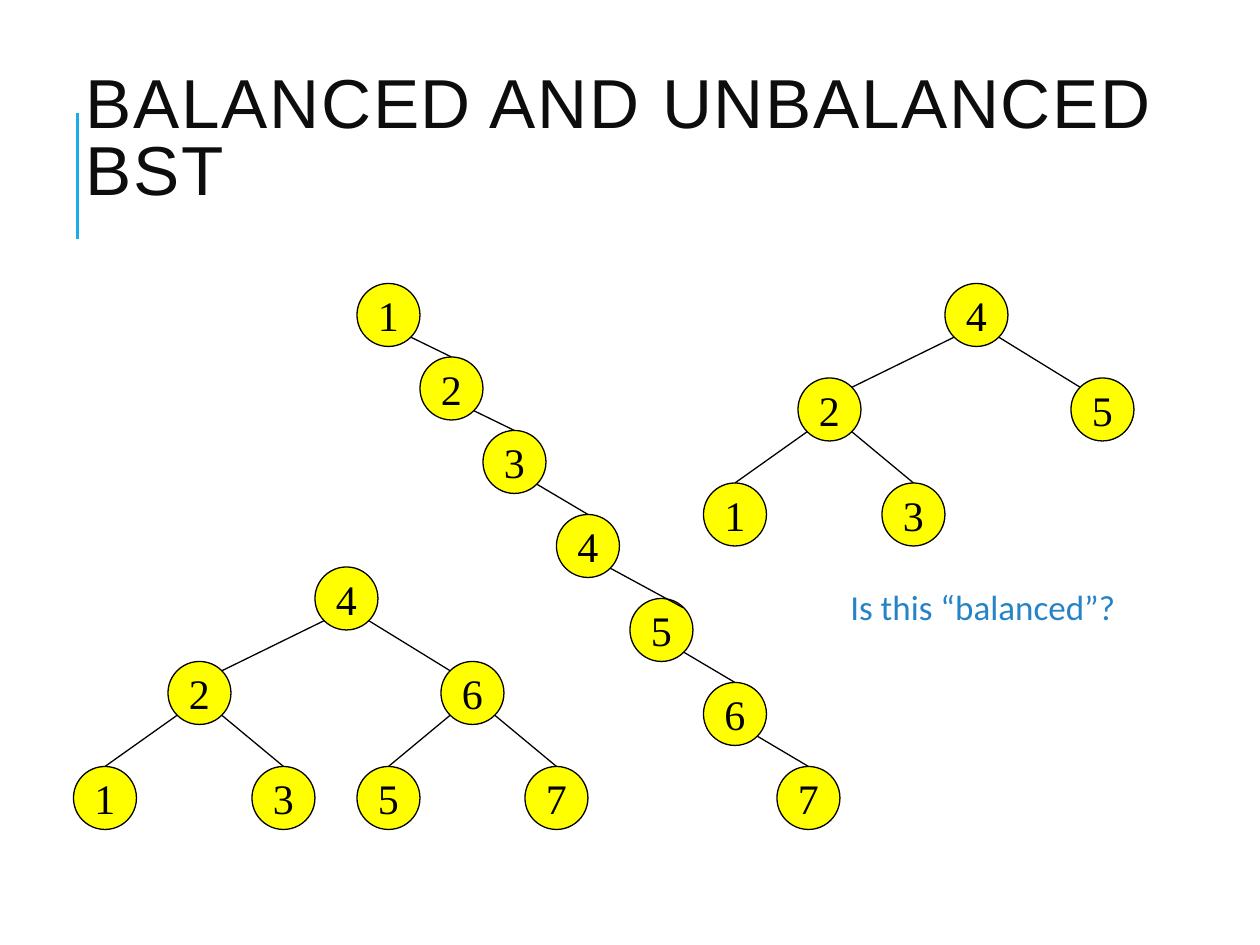
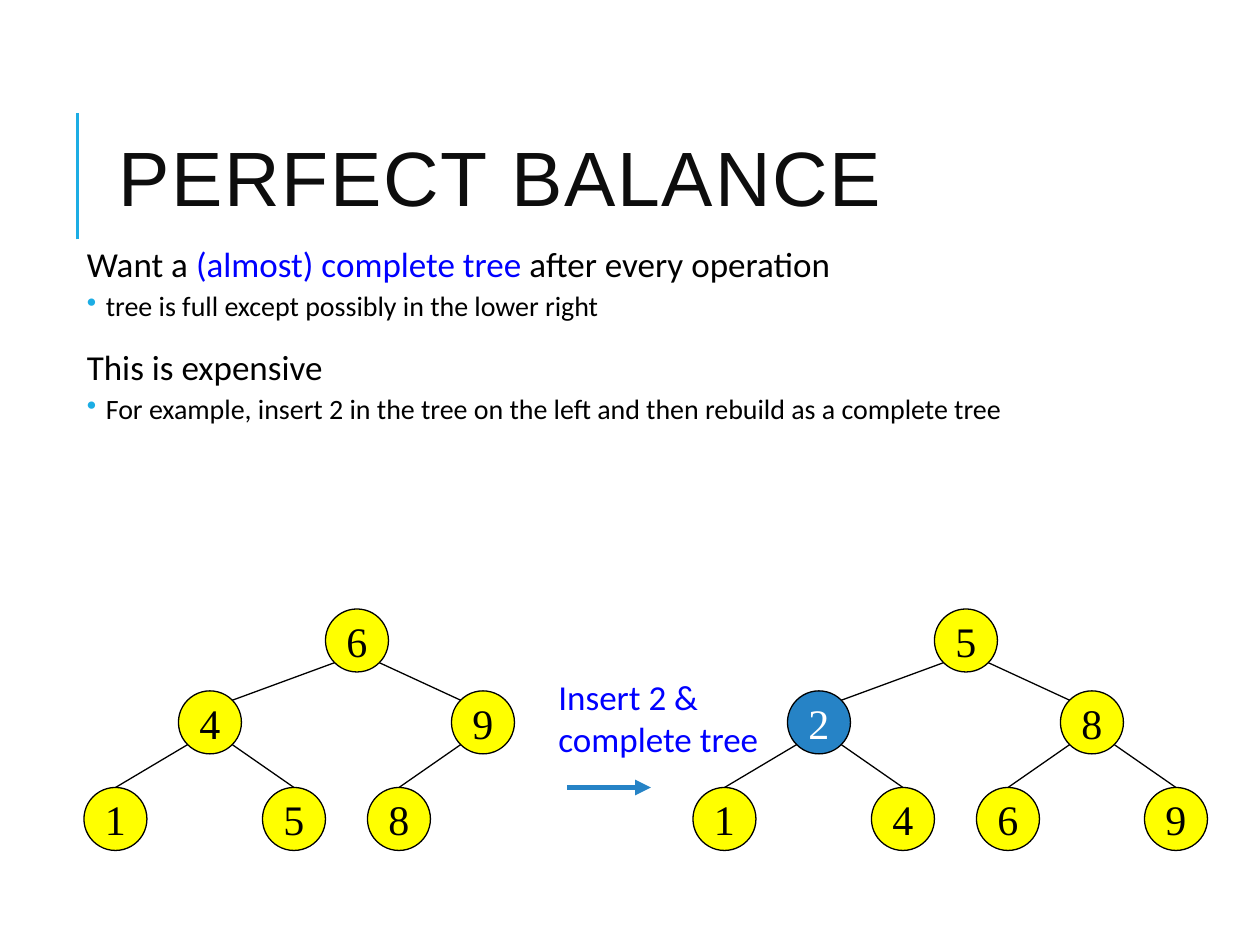
from dataclasses import dataclass
from itertools import accumulate, pairwise

from lxml.etree import SubElement
from pptx import Presentation
from pptx.dml.color import RGBColor
from pptx.enum.shapes import MSO_CONNECTOR, MSO_SHAPE
from pptx.enum.text import MSO_ANCHOR, PP_ALIGN
from pptx.oxml.ns import qn
from pptx.util import Inches, Pt


@dataclass(frozen=True)
class Theme:
    black: str = "000000"
    white: str = "FFFFFF"
    title_ink: str = "0D0D0D"
    accent: str = "1CADE4"
    blue: str = "2683C6"
    emphasis: str = "0000FF"
    node_fill: str = "FFFF00"
    title_font: str = "Arial"
    body_font: str = "Calibri"
    node_font: str = "Times New Roman"
    long_title_size: float = 39.6
    title_size: float = 44
    node_size: float = 24
    body_size: float = 20
    detail_size: float = 16
    thin: float = 0.75
    rule: float = 1.5
    thick: float = 3


@dataclass(frozen=True)
class Box:
    left: float
    top: float
    width: float
    height: float


THEME = Theme()
PAGE_WIDTH, PAGE_HEIGHT = Inches(10), Inches(7.5)
COLUMNS, ROWS = 120, 90
NODE = 6
CORNER = 0.15 * NODE
TOP = (NODE / 2, 0)
TOP_LEFT = (CORNER, CORNER)
TOP_RIGHT = (NODE - CORNER, CORNER)
BOTTOM_LEFT = (CORNER, NODE - CORNER)
BOTTOM_RIGHT = (NODE - CORNER, NODE - CORNER)
TREE_COLUMNS = (23, 9, 35, 0, 17, 27, 43)


def across(columns):
    return round(PAGE_WIDTH * columns / COLUMNS)


def down(rows):
    return round(PAGE_HEIGHT * rows / ROWS)


def place(box):
    return across(box.left), down(box.top), across(box.width), down(box.height)


def write(para, text, *, font=THEME.body_font, size=THEME.body_size,
          color=THEME.black, spacing=None):
    span = para.add_run()
    span.text = text
    span.font.name = font
    span.font.size = Pt(size)
    span.font.color.rgb = RGBColor.from_string(color)
    if spacing is not None:
        span.font._element.set("spc", str(spacing))


def add_bullet(para, symbol, margin, indent):
    properties = para._p.get_or_add_pPr()
    properties.set("marL", str(Inches(margin)))
    properties.set("indent", str(Inches(indent)))
    color = SubElement(properties, qn("a:buClr"))
    SubElement(color, qn("a:srgbClr"), val=THEME.accent)
    SubElement(properties, qn("a:buChar"), char=symbol)


def add_line(page, start, end, color=THEME.black, width=THEME.thin, arrow=False):
    line = page.shapes.add_connector(
        MSO_CONNECTOR.STRAIGHT, across(start[0]), down(start[1]), across(end[0]), down(end[1]))
    line.line.color.rgb = RGBColor.from_string(color)
    line.line.width = Pt(width)
    if arrow:
        SubElement(line.line._get_or_add_ln(), qn("a:tailEnd"), type="triangle")
    SubElement(line._element.spPr, qn("a:effectLst"))
    return line


def add_title(page, box, text, size):
    add_line(page, (7.4, 22.8), (7.4, 10.8), THEME.accent, THEME.rule)
    frame = page.shapes.add_textbox(*place(box)).text_frame
    frame.word_wrap = True
    frame.vertical_anchor = MSO_ANCHOR.MIDDLE
    para = frame.paragraphs[0]
    para.line_spacing = 0.8
    write(para, text, font=THEME.title_font, size=size, color=THEME.title_ink, spacing=100)


def add_label(page, box, lines, color):
    frame = page.shapes.add_textbox(*place(box)).text_frame
    frame.word_wrap = False
    for index, text in enumerate(lines):
        para = frame.add_paragraph() if index else frame.paragraphs[0]
        write(para, text, color=color)


def add_body(page, box, points):
    frame = page.shapes.add_textbox(*place(box)).text_frame
    frame.word_wrap = True
    frame.margin_left = frame.margin_right = Inches(0.05)
    frame.margin_top = frame.margin_bottom = Inches(0.05)
    for index, (level, spans) in enumerate(points):
        para = frame.add_paragraph() if index else frame.paragraphs[0]
        para.level = level
        para.line_spacing = 0.9
        para.space_before, para.space_after = (Pt(2), Pt(4)) if level else (Pt(12), Pt(2))
        add_bullet(para, *(("•", 0.29, -0.15) if level else (" ", 0.1, -0.1)))
        for text, color in spans:
            write(para, text, size=THEME.detail_size if level else THEME.body_size, color=color)


def add_node(page, left, top, value, highlighted=False):
    node = page.shapes.add_shape(MSO_SHAPE.OVAL, *place(Box(left, top, NODE, NODE)))
    node.shadow.inherit = False
    node.fill.solid()
    node.fill.fore_color.rgb = RGBColor.from_string(
        THEME.blue if highlighted else THEME.node_fill)
    node.line.color.rgb = RGBColor.from_string(THEME.black)
    node.line.width = Pt(THEME.thin)
    frame = node.text_frame
    frame.word_wrap = False
    frame.vertical_anchor = MSO_ANCHOR.MIDDLE
    para = frame.paragraphs[0]
    para.alignment = PP_ALIGN.CENTER
    write(para, str(value), font=THEME.node_font, size=THEME.node_size,
          color=THEME.white if highlighted else THEME.black)
    return node, left, top


def link(page, parent, child, leaving, entering):
    (_, left, top), (child_node, child_left, child_top) = parent, child
    edge = add_line(page, (left + leaving[0], top + leaving[1]),
                    (child_left + entering[0], child_top + entering[1]))
    if entering == TOP:
        edge.end_connect(child_node, 0)


def add_tree(page, box, values, middle_row, highlighted=None):
    rows = (0, middle_row, box.height - NODE)
    nodes = []
    for index, value in enumerate(values):
        level = (index + 1).bit_length() - 1
        nodes.append(add_node(page, box.left + TREE_COLUMNS[index], box.top + rows[level],
                              value, value == highlighted))
    for index in range(1, len(nodes)):
        is_left = index % 2 == 1
        facing = TOP_RIGHT if is_left else TOP_LEFT
        link(page, nodes[(index - 1) // 2], nodes[index],
             BOTTOM_LEFT if is_left else BOTTOM_RIGHT, facing if index < 3 else TOP)


def add_chain(page, box):
    steps = [6] * 2 + [7] * 4
    offsets = accumulate(steps, initial=0)
    nodes = [add_node(page, box.left + offset, box.top + offset + index, index + 1)
             for index, offset in enumerate(offsets)]
    for index, (parent, child) in enumerate(pairwise(nodes), start=1):
        link(page, parent, child, BOTTOM_RIGHT, TOP_RIGHT if index == 4 else TOP)


def build_comparison(page):
    add_title(page, Box(7, 6, 106, 15), "BALANCED AND UNBALANCED BST", THEME.long_title_size)
    add_tree(page, Box(67, 27, 49, 25), (4, 2, 5, 1, 3), 9)
    add_chain(page, Box(34, 27, 46, 52))
    add_tree(page, Box(7, 54, 49, 25), (4, 2, 6, 1, 3, 5, 7), 9)
    add_label(page, Box(79.8, 55.2, 29.6, 5.2), ["Is this “balanced”?"], THEME.blue)


def build_perfect_balance(page):
    add_title(page, Box(10.1, 7.7, 95.6, 19.7), "PERFECT BALANCE", THEME.title_size)
    add_body(page, Box(6, 23, 111, 36), [
        (0, [("Want a ", THEME.black), ("(almost) complete tree", THEME.emphasis),
             (" after every operation", THEME.black)]),
        (1, [("tree is full except possibly in the lower right", THEME.black)]),
        (0, [("This is expensive", THEME.black)]),
        (1, [("For example, insert 2 in the tree on the left and then rebuild "
              "as a complete tree", THEME.black)]),
    ])
    add_label(page, Box(52, 63.7, 22.6, 9.2), ["Insert 2 &", "complete tree"], THEME.emphasis)
    add_tree(page, Box(8, 58, 49, 23), (6, 4, 9, 1, 5, 8), 7.8)
    add_tree(page, Box(66, 58, 49, 23), (5, 2, 8, 1, 4, 6, 9), 7.8, highlighted=2)
    add_line(page, (54, 75), (62, 75), THEME.blue, THEME.thick, arrow=True)


def main():
    deck = Presentation()
    deck.slide_width, deck.slide_height = PAGE_WIDTH, PAGE_HEIGHT
    for build in (build_comparison, build_perfect_balance):
        build(deck.slides.add_slide(deck.slide_layouts[6]))
    deck.save("out.pptx")


if __name__ == "__main__":
    main()
